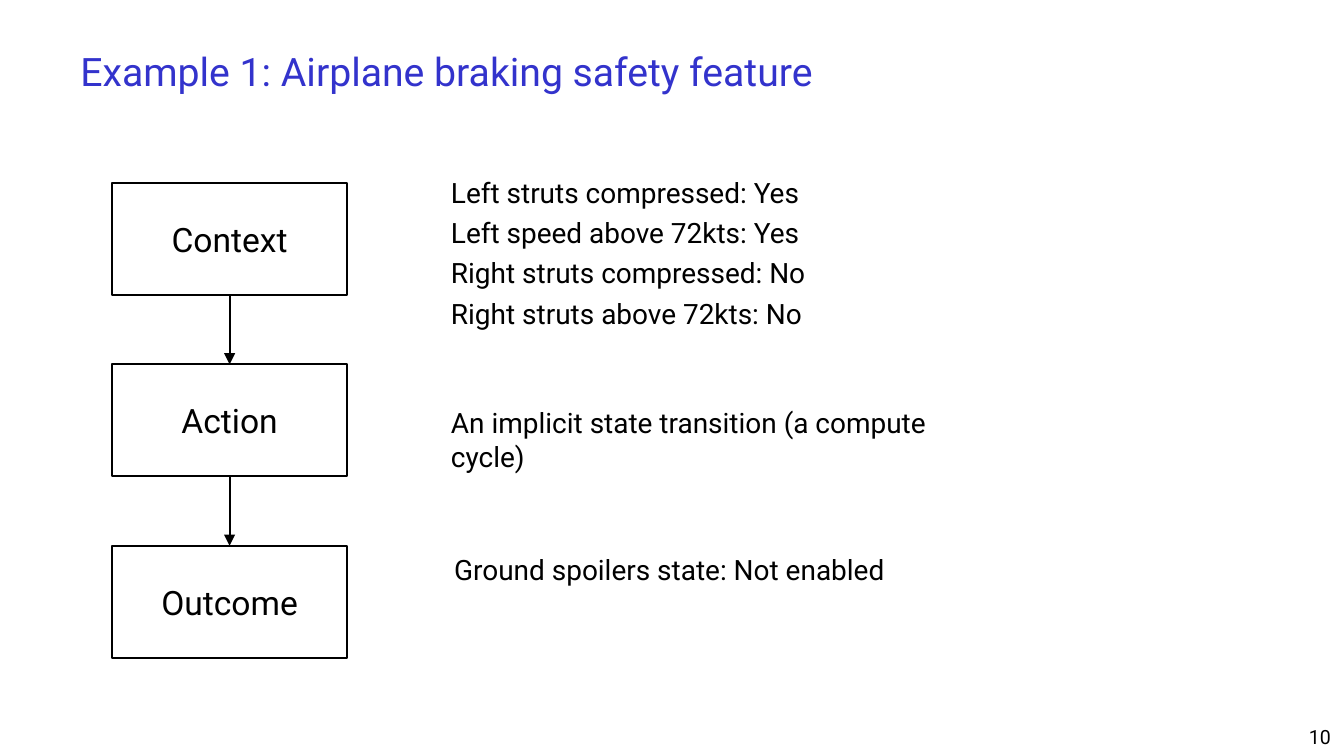
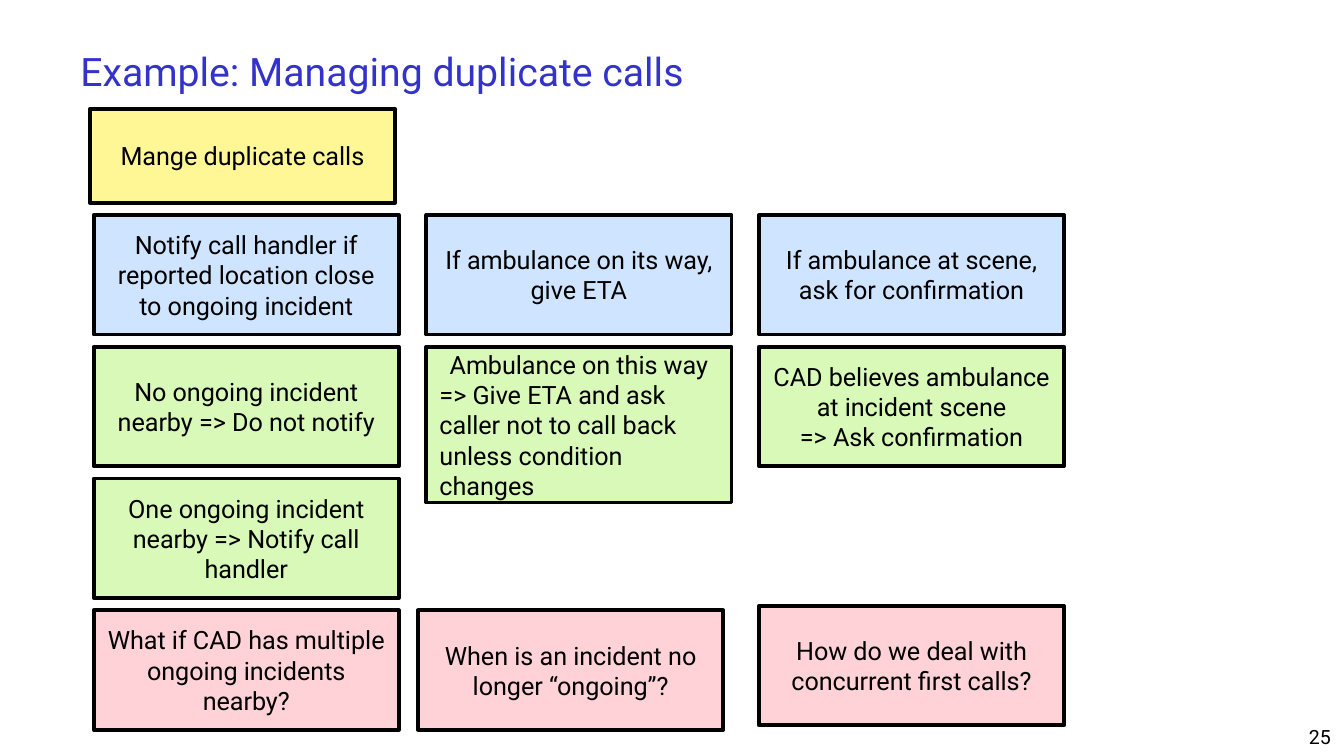
from dataclasses import dataclass

from lxml import etree
from pptx import Presentation
from pptx.dml.color import RGBColor
from pptx.enum.shapes import MSO_CONNECTOR, MSO_SHAPE
from pptx.enum.text import MSO_ANCHOR, PP_ALIGN
from pptx.oxml.ns import qn
from pptx.util import Pt

LEFT, CENTER, RIGHT = PP_ALIGN.LEFT, PP_ALIGN.CENTER, PP_ALIGN.RIGHT
TOP, MIDDLE = MSO_ANCHOR.TOP, MSO_ANCHOR.MIDDLE
RECTANGLE = MSO_SHAPE.RECTANGLE
STRAIGHT = MSO_CONNECTOR.STRAIGHT

FONT = "Roboto"
BLACK, WHITE, TITLE_BLUE = "000000", "FFFFFF", "3333CC"
STORY_YELLOW, RULE_BLUE = "FFF796", "CFE5FF"
EXAMPLE_GREEN, QUESTION_PINK = "D9F9B9", "FED2D7"

# Flow chart: three boxes stacked at equal steps
FLOW_LEFT, FLOW_TOP, FLOW_STEP = 60, 98, 97.2
FLOW_WIDTH, FLOW_HEIGHT = 126, 60
NOTE_LEFT, NOTE_WIDTH = 236.2, 304.5

# Card map: a grid of columns and rows
CARD_LEFT, CARD_TOP = 50.2, 115.2
COLUMN_STEP, ROW_STEP = 178.2, 70.6
CARD_WIDTH, CARD_HEIGHT = 163.5, 64


@dataclass(frozen=True)
class Area:
    left: float
    top: float
    width: float
    height: float


@dataclass(frozen=True)
class TextStyle:
    size: float
    color: str = BLACK
    align: PP_ALIGN = LEFT
    anchor: MSO_ANCHOR = TOP
    inset_x: float = 7.2
    inset_y: float = 3.6
    gap: float = 0


@dataclass(frozen=True)
class Note:
    top: float
    height: float
    text: str
    style: TextStyle


@dataclass(frozen=True)
class Card:
    column: int
    row: int
    color: str
    text: str
    height: float = CARD_HEIGHT
    shift_x: float = 0
    shift_y: float = 0
    last_align: PP_ALIGN = CENTER


TITLE = TextStyle(21, TITLE_BLUE, anchor=MIDDLE)
PAGE_NUMBER = TextStyle(10.5, align=RIGHT)
FLOW_LABEL = TextStyle(18, align=CENTER, anchor=MIDDLE)
CARD_LABEL = TextStyle(13.5, align=CENTER, anchor=MIDDLE)
BODY = TextStyle(15)
TIGHT_BODY = TextStyle(15, inset_x=5.4, inset_y=2.7, gap=3.5)

FLOW_LABELS = ["Context", "Action", "Outcome"]
NOTES = [
    Note(91.5, 72, "Left struts compressed: Yes\nLeft speed above 72kts: Yes\n"
         "Right struts compressed: No\nRight struts above 72kts: No", TIGHT_BODY),
    Note(214.6, 40, "An implicit state transition (a compute cycle)", TIGHT_BODY),
    Note(292.3, 60, "Ground spoilers state: Not enabled", BODY),
]
CARDS = [
    Card(0, 0, RULE_BLUE,
         "Notify call handler if reported location close to ongoing incident"),
    Card(1, 0, RULE_BLUE, "If ambulance on its way, give ETA"),
    Card(2, 0, RULE_BLUE, "If ambulance at scene, ask for confirmation"),
    Card(0, 1, EXAMPLE_GREEN, "No ongoing incident nearby => Do not notify"),
    Card(1, 1, EXAMPLE_GREEN,
         "Ambulance on this way\n"
         "=> Give ETA and ask caller not to call back unless condition changes",
         height=83.5, last_align=LEFT),
    Card(2, 1, EXAMPLE_GREEN,
         "CAD believes ambulance at incident scene\n=> Ask confirmation"),
    Card(0, 2, EXAMPLE_GREEN, "One ongoing incident nearby => Notify call handler"),
    Card(0, 3, QUESTION_PINK, "What if CAD has multiple ongoing incidents nearby?"),
    Card(1, 3, QUESTION_PINK, "When is an incident no longer “ongoing”?", shift_x=-4.4),
    Card(2, 3, QUESTION_PINK, "How do we deal with concurrent first calls?", shift_y=-2.4),
]


def rgb(color: str) -> RGBColor:
    return RGBColor.from_string(color)


def bounds(area: Area) -> list[Pt]:
    return [Pt(value) for value in (area.left, area.top, area.width, area.height)]


def write(box, text: str, style: TextStyle) -> None:
    frame = box.text_frame
    frame.word_wrap = True
    frame.vertical_anchor = style.anchor
    frame.margin_left = frame.margin_right = Pt(style.inset_x)
    frame.margin_top = frame.margin_bottom = Pt(style.inset_y)
    frame.text = text
    for index, para in enumerate(frame.paragraphs):
        para.alignment = style.align
        para.space_before = Pt(style.gap if index else 0)
        for span in para.runs:
            span.font.name = FONT
            span.font.size = Pt(style.size)
            span.font.color.rgb = rgb(style.color)


def add_text(page, area: Area, text: str, style: TextStyle) -> None:
    write(page.shapes.add_textbox(*bounds(area)), text, style)


def add_box(page, area: Area, text: str, style: TextStyle, fill: str, line_width: float):
    box = page.shapes.add_shape(RECTANGLE, *bounds(area))
    box.shadow.inherit = False
    box.fill.solid()
    box.fill.fore_color.rgb = rgb(fill)
    box.line.color.rgb = rgb(BLACK)
    box.line.width = Pt(line_width)
    write(box, text, style)
    return box


def add_arrow(page, upper, lower) -> None:
    arrow = page.shapes.add_connector(STRAIGHT, 0, 0, 0, 0)
    arrow.begin_connect(upper, 2)
    arrow.end_connect(lower, 0)
    arrow.line.color.rgb = rgb(BLACK)
    arrow.line.width = Pt(1)
    properties = arrow._element.spPr
    etree.SubElement(properties.find(qn("a:ln")), qn("a:tailEnd"), type="triangle")
    etree.SubElement(properties, qn("a:effectLst"))


def add_page(deck, title: str, number: int):
    page = deck.slides.add_slide(deck.slide_layouts[6])
    add_text(page, Area(36, 18, 648, 40), title, TITLE)
    add_text(page, Area(570, 385, 150, 20), str(number), PAGE_NUMBER)
    return page


def build_braking_page(deck) -> None:
    page = add_page(deck, "Example 1: Airplane braking safety feature", 10)
    # Flow boxes and the arrows between them
    boxes = [
        add_box(page, Area(FLOW_LEFT, FLOW_TOP + index * FLOW_STEP, FLOW_WIDTH, FLOW_HEIGHT),
                label, FLOW_LABEL, WHITE, 1)
        for index, label in enumerate(FLOW_LABELS)
    ]
    for upper, lower in zip(boxes, boxes[1:]):
        add_arrow(page, upper, lower)
    # Explanations beside the flow
    for note in NOTES:
        add_text(page, Area(NOTE_LEFT, note.top, NOTE_WIDTH, note.height),
                 note.text, note.style)


def build_calls_page(deck) -> None:
    page = add_page(deck, "Example: Managing duplicate calls", 25)
    # Story card above the grid
    add_box(page, Area(48.2, 58.3, CARD_WIDTH, 50.4), "Mange duplicate calls",
            CARD_LABEL, STORY_YELLOW, 2)
    # Rules, examples and questions
    for card in CARDS:
        area = Area(CARD_LEFT + card.column * COLUMN_STEP + card.shift_x,
                    CARD_TOP + card.row * ROW_STEP + card.shift_y,
                    CARD_WIDTH, card.height)
        box = add_box(page, area, card.text, CARD_LABEL, card.color, 2)
        box.text_frame.paragraphs[-1].alignment = card.last_align


def main() -> None:
    deck = Presentation()
    deck.slide_width, deck.slide_height = Pt(720), Pt(405)
    build_braking_page(deck)
    build_calls_page(deck)
    deck.save("out.pptx")


if __name__ == "__main__":
    main()
